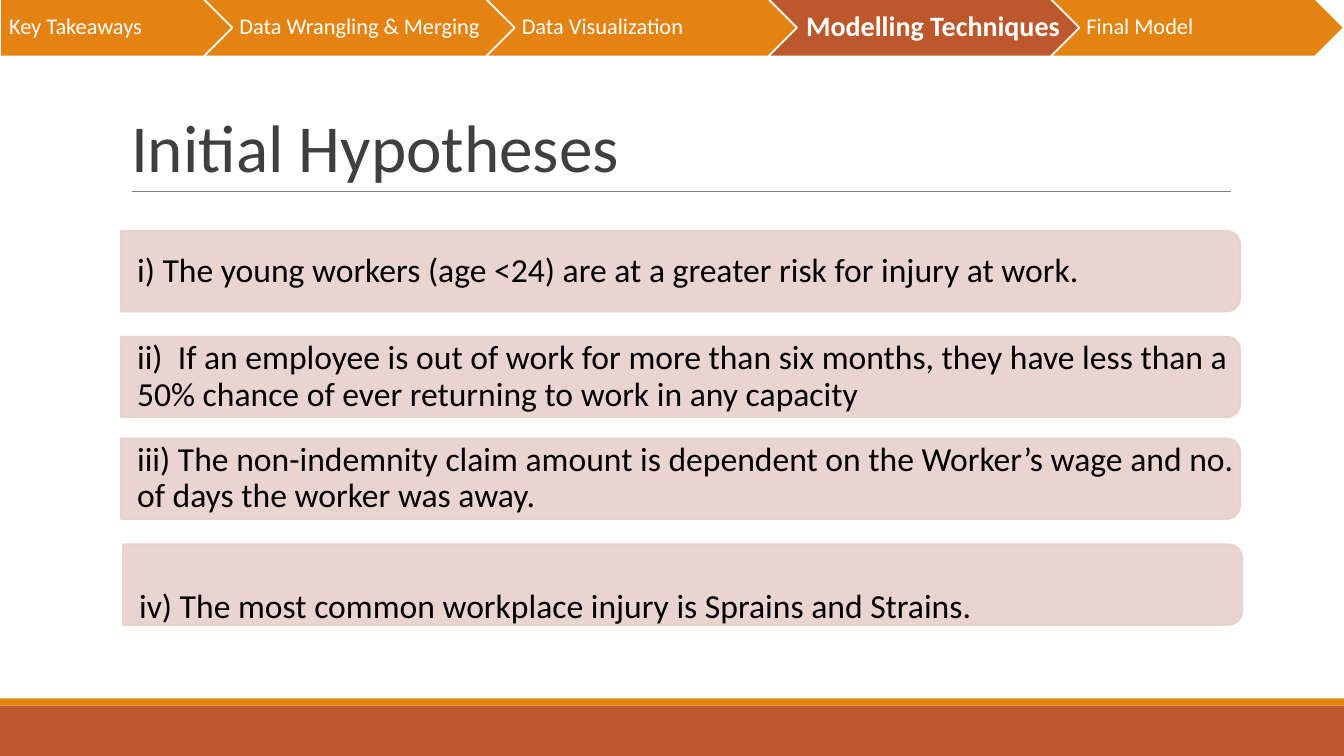
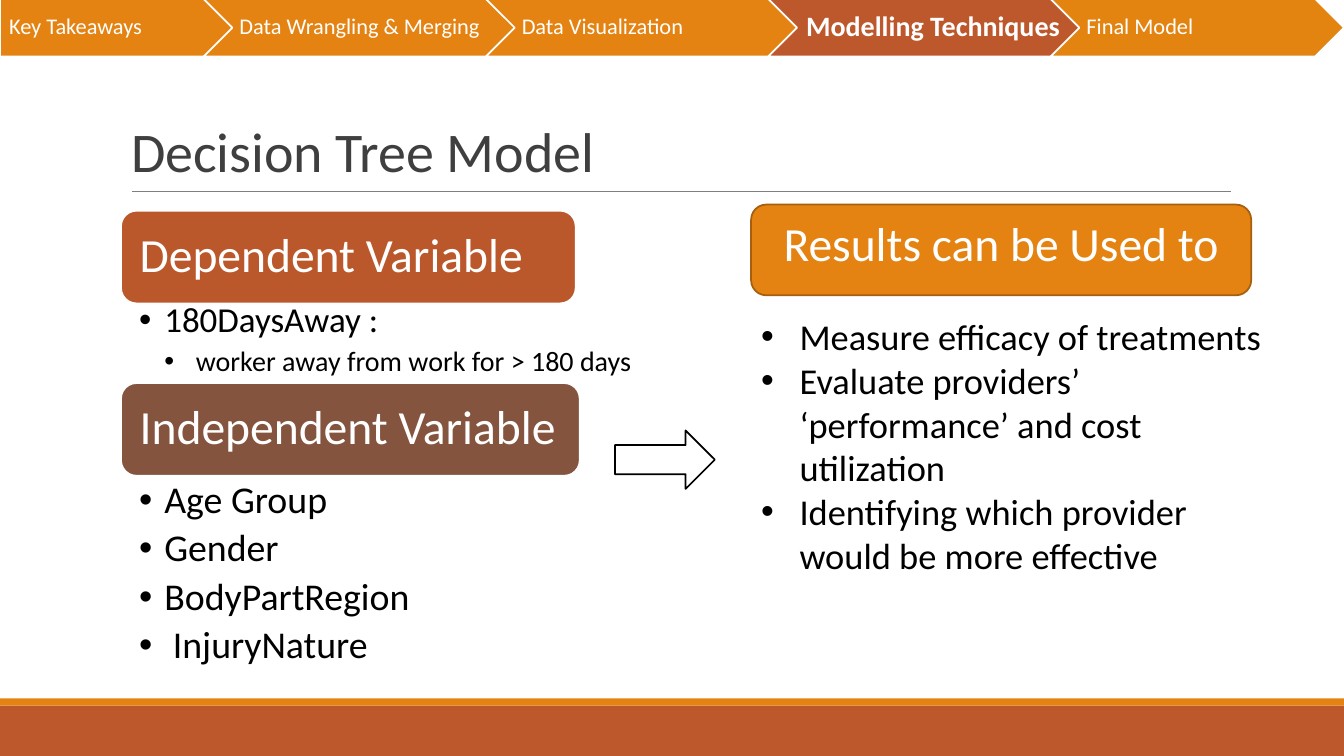
from dataclasses import dataclass

from lxml.etree import SubElement
from pptx import Presentation
from pptx.dml.color import RGBColor
from pptx.enum.shapes import MSO_CONNECTOR, MSO_SHAPE as Preset
from pptx.enum.text import MSO_ANCHOR as Anchor, MSO_AUTO_SIZE as AutoSize, PP_ALIGN as Align
from pptx.oxml.ns import qn
from pptx.util import Inches, Pt


@dataclass(frozen=True)
class Theme:
    font: str = "Calibri"
    rust: str = "BD582C"
    orange: str = "E48312"
    orange_last: str = "E38310"
    orange_edge: str = "A65F0D"
    dependent: str = "BB582B"
    independent: str = "84543F"
    card: str = "E7D0CB"
    rule: str = "7F7F7F"
    title: str = "3F3F3F"
    white: str = "FFFFFF"
    black: str = "000000"
    title_size: int = 48
    small_title_size: int = 40
    heading_size: int = 34
    list_size: int = 27
    result_size: int = 26
    variable_size: int = 25
    card_size: int = 24
    detail_size: int = 20
    step_size: int = 16
    current_step_size: int = 20
    outline: float = 1.25


theme = Theme()


def draw_shape(slide, preset, box, fill, line=None, adjust=(), alpha=None):
    """Add a flat preset shape; box is left, top, width, height in inches."""
    shape = slide.shapes.add_shape(preset, *map(Inches, box))
    shape.shadow.inherit = False
    shape.fill.solid()
    shape.fill.fore_color.rgb = RGBColor.from_string(fill)
    if line:
        shape.line.color.rgb = RGBColor.from_string(line)
        shape.line.width = Pt(theme.outline)
    else:
        shape.line.fill.background()
    for index, value in enumerate(adjust):
        shape.adjustments[index] = value
    if alpha:
        for color in list(shape.element.iter(qn("a:srgbClr"))):
            SubElement(color, qn("a:alpha")).set("val", str(alpha * 1000))
    return shape


def write_text(shape, text, size, color=theme.black, bold=False, align=Align.LEFT,
               anchor=Anchor.TOP, insets=(0.1, 0.05, 0.1, 0.05), spacing=0.9,
               before=0, indent=None, level=0):
    """Write one paragraph, after any text present; an indent makes it a bullet."""
    frame = shape.text_frame
    frame.word_wrap = True
    frame.auto_size = AutoSize.NONE
    frame.vertical_anchor = anchor
    (frame.margin_left, frame.margin_top,
     frame.margin_right, frame.margin_bottom) = map(Inches, insets)
    paragraph = frame.add_paragraph() if frame.text else frame.paragraphs[0]
    paragraph.alignment = align
    paragraph.level = level
    paragraph.line_spacing = spacing
    paragraph.space_before = Pt(before)
    if indent:
        margin, hanging = indent
        properties = paragraph._p.get_or_add_pPr()
        properties.set("marL", str(Inches(margin)))
        properties.set("indent", str(-Inches(hanging)))
        SubElement(properties, qn("a:buFont")).set("typeface", "Arial")
        SubElement(properties, qn("a:buChar")).set("char", "•")
    run = paragraph.add_run()
    run.text = text
    run.font.name = theme.font
    run.font.size = Pt(size)
    run.font.bold = bold
    run.font.color.rgb = RGBColor.from_string(color)


presentation = Presentation()
presentation.slide_width = Inches(13.33)
presentation.slide_height = Inches(7.5)
layouts = presentation.slide_layouts
hypotheses = presentation.slides.add_slide(layouts.get_by_name("Title Only"))
decision_tree = presentation.slides.add_slide(layouts.get_by_name("Two Content"))

# Footer bands and title rule, moved to the slide master
rule = hypotheses.shapes.add_connector(
    MSO_CONNECTOR.STRAIGHT, Inches(1.31), Inches(1.9), Inches(12.21), Inches(1.9))
rule.line.color.rgb = RGBColor.from_string(theme.rule)
rule.line.width = Pt(0.75)
SubElement(rule.element.spPr, qn("a:effectLst"))
master_shapes = [
    draw_shape(hypotheses, Preset.RECTANGLE, (0, 7, 13.33, 0.5), theme.rust),
    draw_shape(hypotheses, Preset.RECTANGLE, (0, 6.93, 13.33, 0.07), theme.orange),
    rule,
]
for number, shape in enumerate(master_shapes, start=101):
    next(shape.element.iter(qn("p:cNvPr"))).set("id", str(number))
    presentation.slide_master.shapes.element.append(shape.element)

# Titles and progress steps
titles = [
    (hypotheses, "Initial Hypotheses", theme.title_size, (1.2, 0.31, 11, 1.59)),
    (decision_tree, "Decision Tree Model", theme.small_title_size, (1.2, 1.02, 11.42, 0.86)),
]
steps = ["Key Takeaways", "Data Wrangling & Merging", "Data Visualization",
         "Modelling Techniques", "Final Model"]
current_step = "Modelling Techniques"
step_pitch, step_overlap = 2.8, 0.7

for slide, title, size, box in titles:
    placeholder = slide.shapes.title
    (placeholder.left, placeholder.top,
     placeholder.width, placeholder.height) = map(Inches, box)
    write_text(placeholder, title, size, color=theme.title,
               anchor=Anchor.BOTTOM, spacing=0.85)

    for index, step in enumerate(steps):
        first, last = index == 0, index == len(steps) - 1
        current = step == current_step
        left = 0 if first else 2.02 + step_pitch * (index - 1)
        width = 2.72 if first else 13.33 - left if last else step_pitch + step_overlap
        fill = theme.rust if current else theme.orange_last if last else theme.orange
        arrow = draw_shape(slide, Preset.PENTAGON if first else Preset.CHEVRON,
                           (left, -0.01, width, 0.57), fill, theme.white, [0.5])
        write_text(arrow, step, theme.current_step_size if current else theme.step_size,
                   color=theme.white, bold=current, anchor=Anchor.MIDDLE,
                   insets=(0.09 if first or current else 0.07, 0.05, 0.02, 0.05))

# Hypothesis cards: text left, text top, wording, paragraph format
last_card = {"align": Align.JUSTIFY, "spacing": 2}
cards = [
    (1.28, 2.33, "i) The young workers (age <24) are at a greater risk for injury at work.", {}),
    (1.28, 3.38, "ii)  If an employee is out of work for more than six months, they have "
                 "less than a 50% chance of ever returning to work in any capacity", {}),
    (1.28, 4.39, "iii) The non-indemnity claim amount is dependent on the Worker’s wage "
                 "and no. of days the worker was away.", {}),
    (1.3, 5.44, "iv) The most common workplace injury is Sprains and Strains.", last_card),
]
card_width, card_height = 11.1, 0.8
text_width, text_height = 11.04, 0.72
for left, top, text, text_format in cards:
    center_x = left - 0.08 + card_width / 2
    center_y = top + text_height / 2
    # A quarter turn puts the rounded corners on the right
    card = draw_shape(hypotheses, Preset.ROUND_2_SAME_RECTANGLE,
                      (center_x - card_height / 2, center_y - card_width / 2,
                       card_height, card_width),
                      theme.card, theme.card, [0.167, 0], alpha=90)
    card.rotation = 90
    label = hypotheses.shapes.add_textbox(
        *map(Inches, (left, top, text_width, text_height)))
    write_text(label, text, theme.card_size, anchor=Anchor.MIDDLE,
               insets=(0.08, 0.04, 0.08, 0.04), **text_format)

# Variable and result headings
variable_format = {"anchor": Anchor.MIDDLE, "insets": (0.14, 0.14, 0.14, 0.14)}
result_format = {"align": Align.CENTER, "spacing": 1}
headings = [
    ("Dependent Variable", (1.2, 2.09, 4.51, 0.92),
     theme.dependent, theme.white, variable_format),
    ("Independent Variable", (1.2, 3.8, 4.55, 0.92),
     theme.independent, theme.white, variable_format),
    ("Results can be Used to", (7.45, 2.03, 4.96, 0.9),
     theme.orange, theme.orange_edge, result_format),
]
for text, box, fill, line, text_format in headings:
    heading = draw_shape(decision_tree, Preset.ROUNDED_RECTANGLE, box, fill, line, [0.167])
    write_text(heading, text, theme.heading_size, color=theme.white, **text_format)

# Dependent variable
dependent = decision_tree.shapes.add_textbox(*map(Inches, (1.2, 2.97, 5.63, 0.83)))
dependent_insets = (0.18, 0.03, 0.16, 0.03)
write_text(dependent, "180DaysAway :", theme.variable_size,
           insets=dependent_insets, indent=(0.25, 0.25))
write_text(dependent, " worker away from work for > 180 days", theme.detail_size,
           insets=dependent_insets, indent=(0.5, 0.25), before=5, level=1)

# Independent variables and uses of the results
independent_list, result_list = list(decision_tree.placeholders)[1:]
lists = [
    (independent_list, (1.2, 4.72, 5.63, 2.02), theme.list_size, 5.4,
     {"insets": (0.18, 0.05, 0.26, 0.05), "indent": (0.25, 0.25)},
     ["Age Group", "Gender", "BodyPartRegion", " InjuryNature"]),
    (result_list, (7.45, 3.07, 5.17, 3.03), theme.result_size, 0,
     {"indent": (0.38, 0.38), "spacing": 1},
     ["Measure efficacy of treatments",
      "Evaluate providers’ ‘performance’ and cost utilization",
      "Identifying which provider would be more effective"]),
]
for placeholder, box, size, gap, text_format, items in lists:
    (placeholder.left, placeholder.top,
     placeholder.width, placeholder.height) = map(Inches, box)
    for index, item in enumerate(items):
        write_text(placeholder, item, size, before=gap if index else 0, **text_format)

# Arrow from variables to results
draw_shape(decision_tree, Preset.RIGHT_ARROW, (6.1, 4.27, 0.99, 0.58),
           theme.white, theme.black, [0.5, 0.5])

presentation.save("out.pptx")
